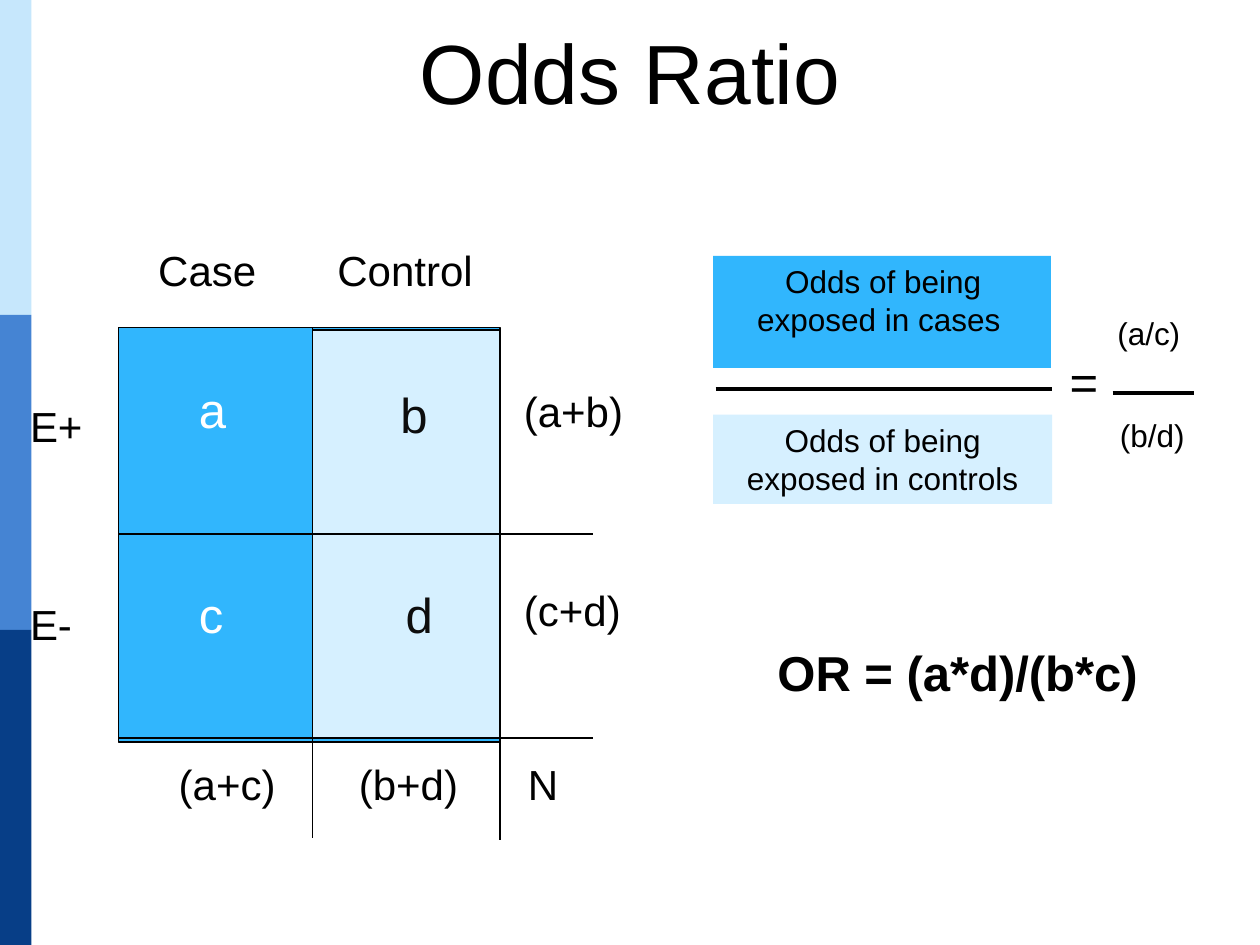
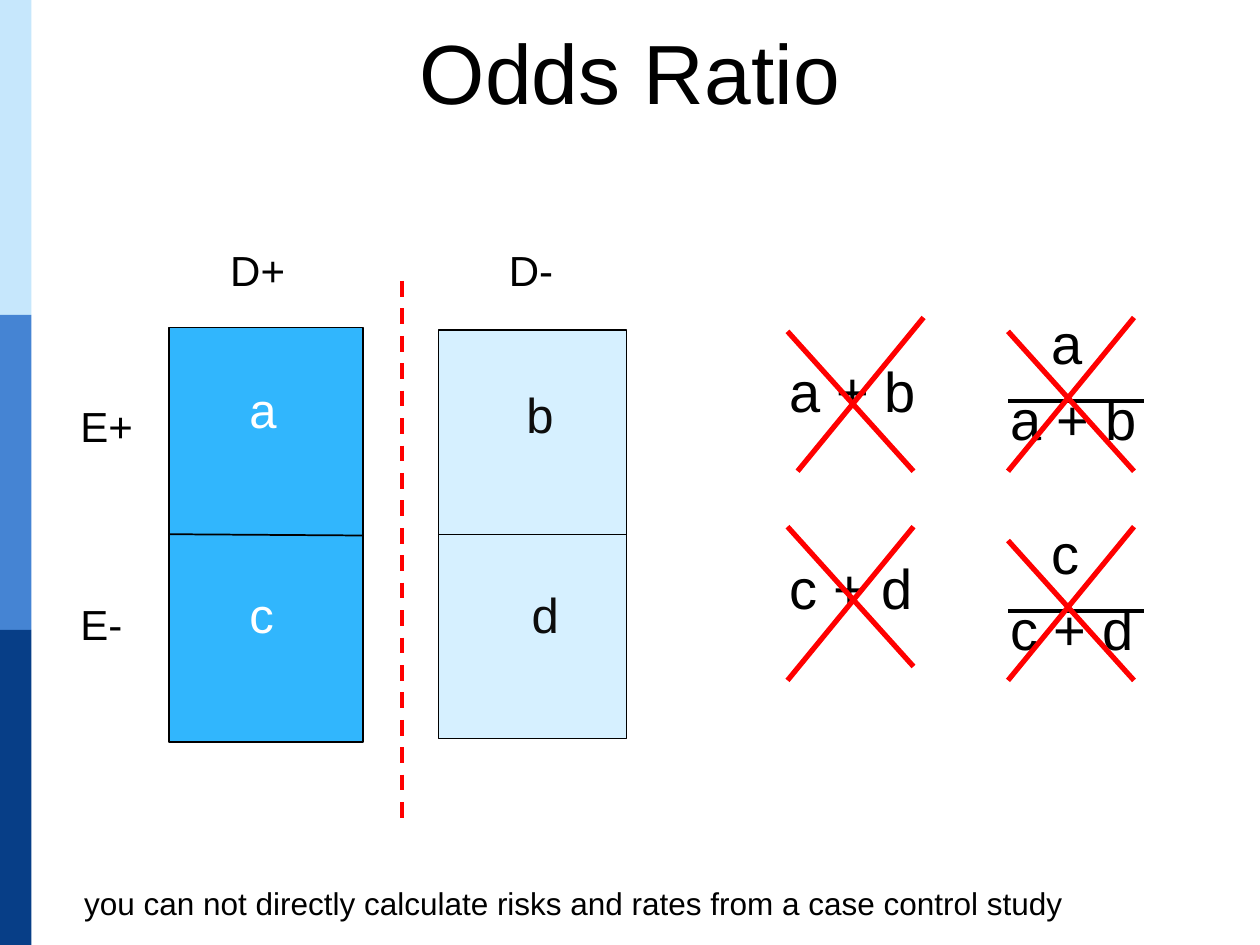
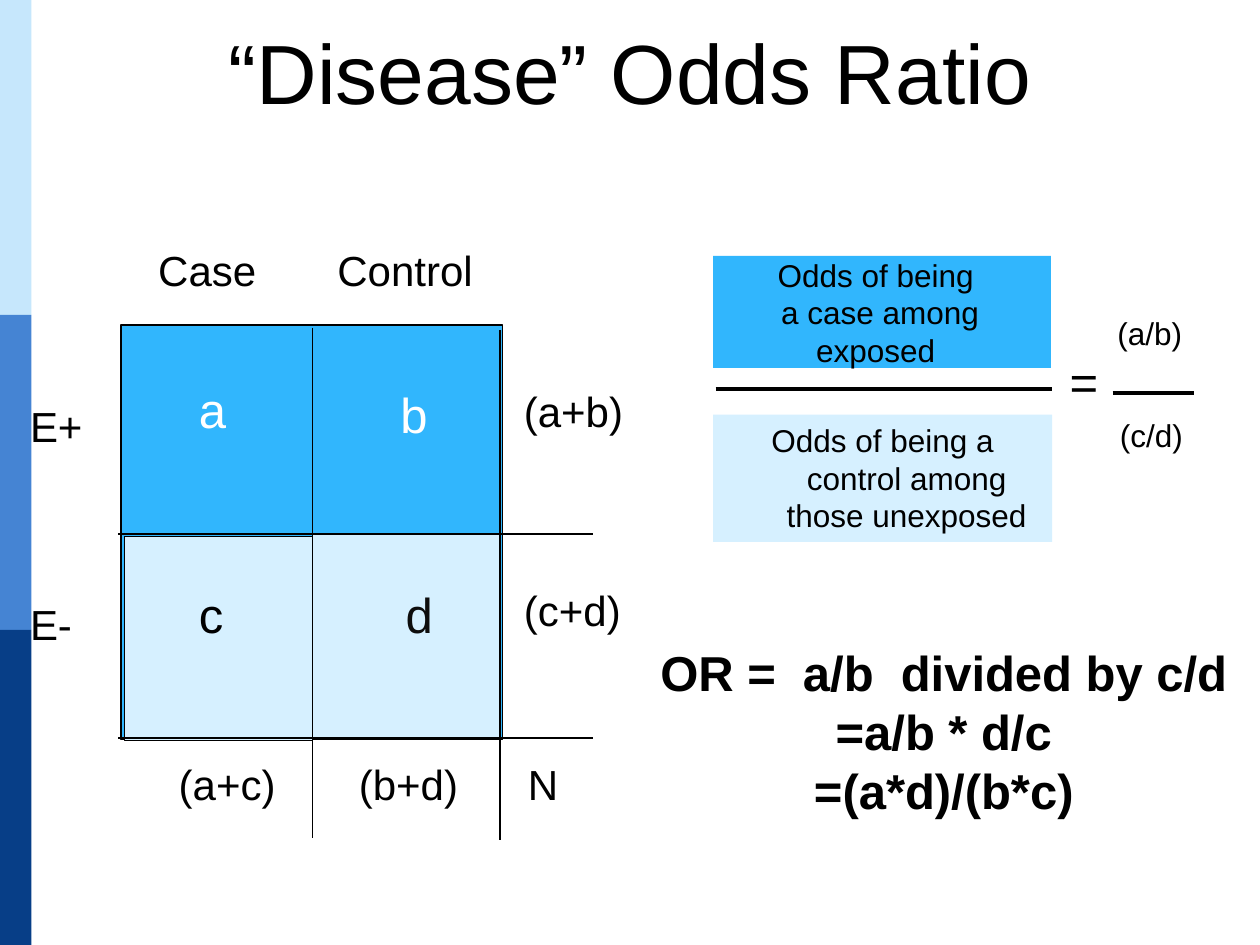
from pptx import Presentation
from pptx.dml.color import RGBColor
from pptx.enum.dml import MSO_LINE
from pptx.enum.shapes import MSO_CONNECTOR, MSO_SHAPE
from pptx.enum.text import MSO_ANCHOR, MSO_AUTO_SIZE as AUTO, PP_ALIGN
from pptx.oxml.ns import qn
from pptx.util import Pt
from lxml.etree import SubElement

PX = 9144  # EMU per px, 100 px to the inch
HANG = 38
COLORS = {
    "black": "000000", "ink": "0D0D0D", "white": "FFFFFF", "red": "FF0000",
    "case": "31B6FD", "control": "D6F0FF",
    "band_top": "C6E7FC", "band_mid": "4584D3", "band_low": "073E87",
}


def color(name):
    return RGBColor.from_string(COLORS[name])


def apply(target, values):
    for key, value in values.items():
        setattr(target, key, value)


class Deck:
    """Holds the style and the slide being drawn."""
    font = "Arial"

    def __init__(self):
        self.prs = Presentation()
        apply(self.prs, {"slide_width": 1000 * PX, "slide_height": 750 * PX})
        self.shapes = None

    def new_slide(self, title):
        self.shapes = self.prs.slides.add_slide(self.prs.slide_layouts[6]).shapes
        for row, band in enumerate(("band_top", "band_mid", "band_low")):
            self.rect(0, row * 250, 25, 250, band)
        self.text(0, 11, 1000, 91, title, 48, center=True)

    def rect(self, x, y, w, h, fill, border=None):
        box = self.shapes.add_shape(MSO_SHAPE.RECTANGLE, *(v * PX for v in (x, y, w, h)))
        box.shadow.inherit = False
        box.fill.solid()
        box.fill.fore_color.rgb = color(fill)
        if border:
            box.line.color.rgb = color("black")
            box.line.width = Pt(border)
        else:
            box.line.fill.background()
        return box

    def line(self, x1, y1, x2, y2, width=1, ink="black", dash=None):
        rule = self.shapes.add_connector(MSO_CONNECTOR.STRAIGHT, *(v * PX for v in (x1, y1, x2, y2)))
        rule.line.color.rgb = color(ink)
        apply(rule.line, {"width": Pt(width), "dash_style": dash})
        SubElement(rule._element.spPr, qn("a:effectLst"))

    def text(self, x, y, w, h, words, size=24, ink="black", **options):
        box = self.shapes.add_textbox(*(v * PX for v in (x, y, w, h)))
        self.set_words(box, words, size, ink, **options)

    def set_words(self, box, words, size=24, ink="black", center=False, hang=False,
                  bold=False, wrap=True):
        frame = box.text_frame
        apply(frame, {"word_wrap": wrap, "vertical_anchor": MSO_ANCHOR.TOP,
                      "auto_size": AUTO.SHAPE_TO_FIT_TEXT, "text": words})
        for para in frame.paragraphs:
            para.alignment = PP_ALIGN.CENTER if center else PP_ALIGN.LEFT
            if hang:
                indents = para._p.get_or_add_pPr()
                indents.set("marL", str(HANG * PX))
                indents.set("indent", str(-HANG * PX))
            for run in para.runs:
                apply(run.font, {"name": self.font, "size": Pt(size), "bold": bold})
                run.font.color.rgb = color(ink)


def label_cells(deck, headers, inks, left=0, right=0):
    """Row and column headings and the letters a to d."""
    for sign, y in (("E+", 313), ("E-", 470)):
        deck.text(14 + left, y, 87, 50, sign)
    for header, x in zip(headers, (78 + left, 235 + right)):
        deck.text(x, 189, 173, 50, header, center=True)
    places = ((148 + left, 296), (308 + right, 300), (148 + left, 459), (312 + right, 459))
    for letter, (x, y), ink in zip("abcd", places, inks):
        deck.text(x, y, 48, 57, letter, 28, ink)


def two_by_two(deck, corner, control_cells, inks):
    """Case and control table with its totals."""
    deck.rect(*corner, 303, 329, "case", 1)
    for x, y in control_cells:
        deck.rect(x, y, 149, 162, "control", 0.75)
    for x, top in ((248, 260), (397, 262)):
        deck.line(x, top, x, top + 405)
    for y in (424, 586):
        deck.line(94, y, 471, y)
    label_cells(deck, ("Case", "Control"), inks)
    totals = (("(a+b)", 406, 301, 100), ("(c+d)", 406, 459, 98), ("(a+c)", 132, 597, 98),
              ("(b+d)", 275, 597, 100), ("N", 409, 597, 45))
    for total, x, y, w in totals:
        deck.text(x, y, w, 50, total, wrap=False)


def odds_fraction(deck, above, above_at, below, below_height, ratio):
    """Odds in words, then the same fraction in letters."""
    deck.rect(566, 203, 268, 89, "case")
    deck.text(*above_at, 266, 71, above, 18, center=True)
    deck.line(568, 309, 835, 309, 2.25)
    below_box = deck.rect(566, 329, 269, below_height, "control")
    deck.set_words(below_box, below, 18, center=True, hang=True)
    deck.text(839, 274, 54, 57, "=", 28, wrap=False)
    deck.text(870, 244, 79, 40, ratio[0], 18, hang=True)
    deck.line(883, 312, 948, 312, 2.25)
    deck.text(872, 325, 79, 40, ratio[1], 18, wrap=False)


def exposure_slide(deck):
    deck.new_slide("Odds Ratio")
    two_by_two(deck, (94, 260), ((248, 424), (248, 262)), ("white", "ink", "white", "ink"))
    odds_fraction(deck, "Odds of being\nexposed in cases ", (568, 203),
                  "Odds of being\nexposed in controls", 71, (" (a/c)", " (b/d)"))
    deck.text(605, 505, 310, 57, "OR = (a*d)/(b*c)", 28,
              center=True, hang=True, bold=True, wrap=False)


def no_risks_slide(deck):
    deck.new_slide("Odds Ratio")
    # Separate case and control columns
    deck.rect(134, 260, 154, 329, "case", 1)
    for y in (424, 262):
        deck.rect(348, y, 149, 162, "control", 0.75)
    deck.line(134, 424, 288, 425)
    label_cells(deck, ("D+", "D-"), ("white", "ink", "white", "ink"), left=40, right=100)
    deck.line(319, 223, 319, 653, 2.25, "red", MSO_LINE.DASH)
    # Row totals and risks
    for part, total, total_y, risk_y in (("a", "a + b", 278, 240), ("c", "c + d", 434, 407)):
        deck.text(617, total_y, 175, 64, total, 32)
        deck.text(792, risk_y + 60, 133, 64, total, 32)
        deck.text(825, risk_y, 67, 64, part, 32)
        deck.line(800, risk_y + 78, 908, risk_y + 78, 2.25)
    # Crosses: start of the falling stroke, then top and foot of the rising one
    crosses = ((625, 263, 733, 252, 633, 374), (800, 263, 900, 252, 800, 374),
               (625, 418, 725, 418, 625, 540), (800, 429, 900, 418, 800, 540))
    for x, y, *rising in crosses:
        deck.line(x, y, x + 100, y + 111, 3, "red")
        deck.line(*rising, 3, "red")
    deck.text(50, 697, 811, 40,
              " you can not directly calculate risks and rates from a case control study",
              18, wrap=False)


def disease_slide(deck):
    deck.new_slide("“Disease” Odds Ratio")
    two_by_two(deck, (96, 258), ((248, 424), (99, 426)), ("white", "white", "black", "ink"))
    odds_fraction(deck, "Odds of being\n a case among exposed", (562, 198),
                  "Odds of being a control among those unexposed", 101, (" (a/b)", " (c/d)"))
    deck.text(498, 505, 502, 232, "OR =  a/b  divided by c/d\n=a/b * d/c\n=(a*d)/(b*c)", 28,
              center=True, hang=True, bold=True)


def main():
    deck = Deck()
    for draw in (exposure_slide, no_risks_slide, disease_slide):
        draw(deck)
    deck.prs.save("out.pptx")


if __name__ == "__main__":
    main()
